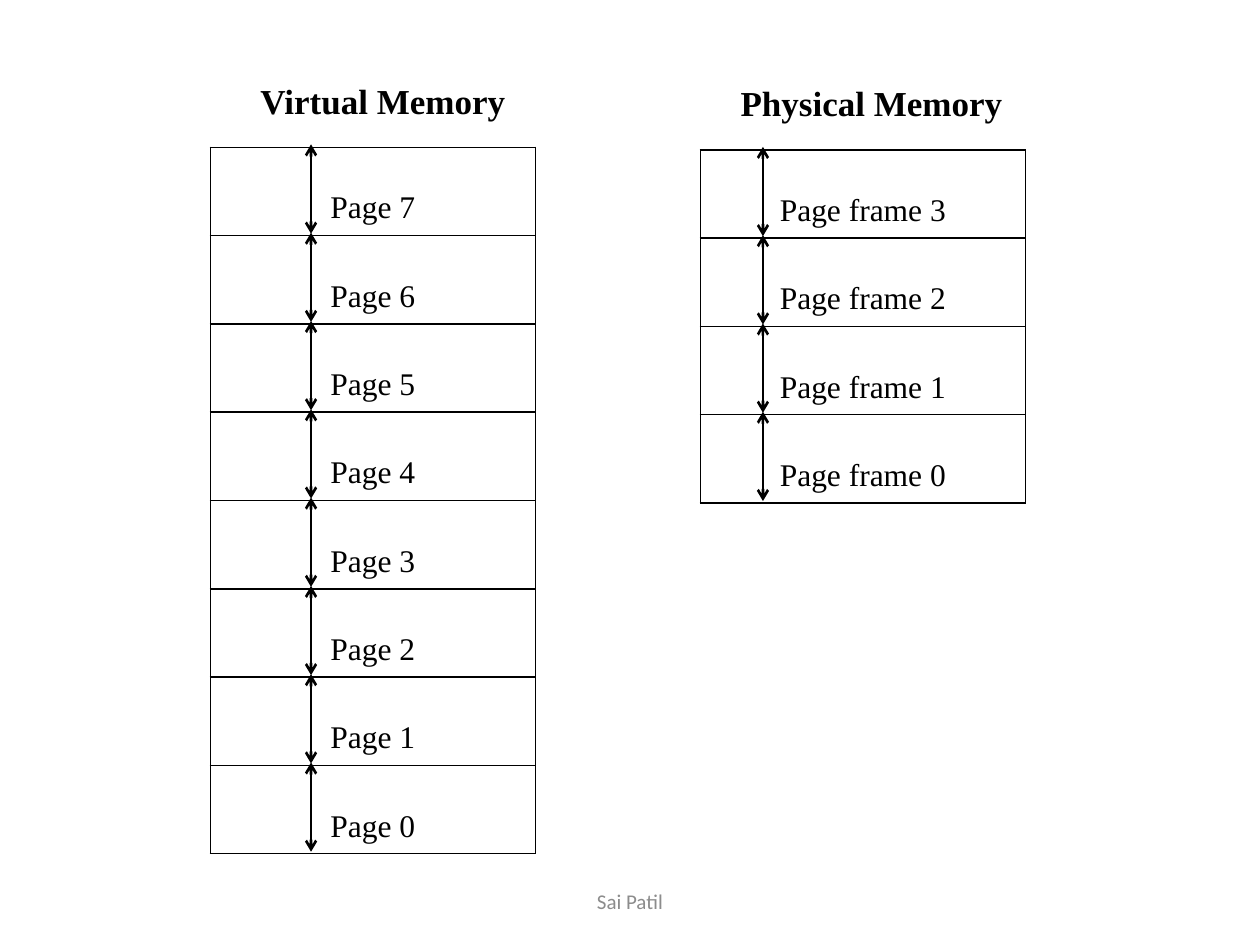
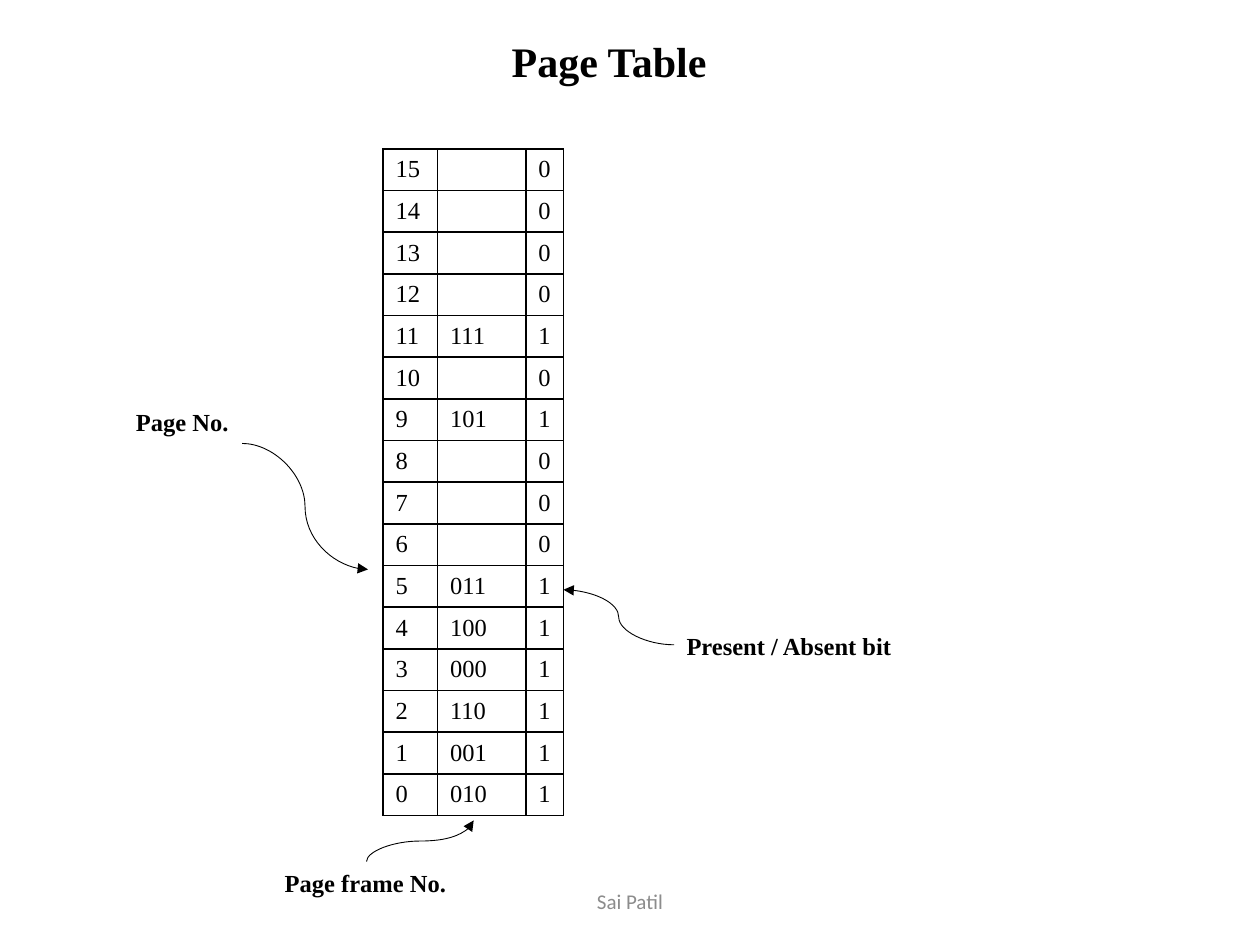
import pptx
import pptx.util
import pptx.dml.color
import pptx.enum.shapes
import pptx.enum.text
import pptx.oxml
import pptx.oxml.ns
import lxml.etree

Cm = pptx.util.Cm
Pt = pptx.util.Pt
qn = pptx.oxml.ns.qn
ALIGN = pptx.enum.text.PP_ALIGN
ANCHOR = pptx.enum.text.MSO_ANCHOR
CONNECTOR = pptx.enum.shapes.MSO_CONNECTOR

COLORS = {"ink": "000000", "footer": "8C8C8C"}
SERIF = "Times New Roman"
FRAMES = {11: "111", 9: "101", 5: "011", 4: "100", 3: "000", 2: "110", 1: "001", 0: "010"}


def rgb(name):
    return pptx.dml.color.RGBColor.from_string(COLORS[name])


def write(tf, text, size=14, bold=False, font=SERIF, color="ink",
          align=ALIGN.LEFT, anchor=ANCHOR.TOP, wrap=False):
    tf.word_wrap = wrap
    tf.vertical_anchor = anchor
    p = tf.paragraphs[0]
    p.alignment = align
    r = p.add_run()
    r.text = text
    r.font.size = Pt(size)
    r.font.bold = bold
    r.font.name = font
    r.font.color.rgb = rgb(color)


def add_label(s, text, x, y, w, h, **fmt):
    box = s.shapes.add_textbox(Cm(x), Cm(y), Cm(w), Cm(h))
    write(box.text_frame, text, **fmt)


def add_footer(s):
    add_label(s, "Sai Patil", 8.4, 17.65, 8.6, 1.02, size=12, font="Calibri",
              color="footer", align=ALIGN.CENTER, anchor=ANCHOR.MIDDLE, wrap=True)


def add_arrow(s, kind, start, end, width, head=None, tail="triangle"):
    line = s.shapes.add_connector(kind, *(Cm(v) for v in (*start, *end)))
    line.line.color.rgb = rgb("ink")
    line.line.width = Pt(width)
    ln = line.line._ln
    for tag, style in (("a:headEnd", head), ("a:tailEnd", tail)):
        if style:
            lxml.etree.SubElement(ln, qn(tag), type=style)
    lxml.etree.SubElement(line._element.spPr, qn("a:effectLst"))
    return line


def add_curve(s, start, end, upright=False):
    if upright:
        cx, cy = (start[0] + end[0]) / 2, (start[1] + end[1]) / 2
        dx, dy = start[0] - cx, start[1] - cy
        start, end = (cx + dy, cy - dx), (cx - dy, cy + dx)
    curve = add_arrow(s, CONNECTOR.CURVE, start, end, 0.5)
    if upright:
        curve._element.spPr.find(qn("a:xfrm")).set("rot", "5400000")


def add_border(cell):
    tcPr = cell._tc.get_or_add_tcPr()
    for side in ("L", "R", "T", "B"):
        ln = lxml.etree.SubElement(tcPr, qn(f"a:ln{side}"), w=str(Pt(1)))
        fill = lxml.etree.SubElement(ln, qn("a:solidFill"))
        lxml.etree.SubElement(fill, qn("a:srgbClr"), val=COLORS["ink"])


def add_grid(s, rows, x, y, widths, row_h, bottom=0, **fmt):
    table = s.shapes.add_table(len(rows), len(widths), Cm(x), Cm(y),
                               Cm(sum(widths)), Cm(row_h * len(rows))).table
    table.first_row = table.horz_banding = False
    for col, w in zip(table.columns, widths):
        col.width = Cm(w)
    for i, row in enumerate(rows):
        table.rows[i].height = Cm(row_h)
        for j, text in enumerate(row):
            cell = table.cell(i, j)
            add_border(cell)
            cell.fill.background()
            cell.margin_top = 0
            cell.margin_bottom = Cm(bottom)
            cell.vertical_anchor = ANCHOR.BOTTOM if bottom else ANCHOR.MIDDLE
            if text:
                p = cell.text_frame.paragraphs[0]
                p.alignment = fmt.get("align", ALIGN.LEFT)
                r = p.add_run()
                r.text = text
                r.font.size = Pt(fmt.get("size", 14))
                r.font.name = SERIF
                r.font.color.rgb = rgb("ink")


def add_memory(s, heading, unit, count, x, y, heading_dx, heading_w, arrow_dx):
    row_h = 1.78
    add_label(s, heading, x + heading_dx, y - 1.5, heading_w, 1.11, size=20, bold=True)
    rows = [[f"{unit} {n}"] for n in reversed(range(count))]
    add_grid(s, rows, x, y, [6.55], row_h, bottom=0.2, size=18, align=ALIGN.CENTER)
    for i in range(count):
        top = y + i * row_h - 0.06
        add_arrow(s, CONNECTOR.STRAIGHT, (x + arrow_dx, top), (x + arrow_dx, top + 1.8),
                  1.5, head="arrow", tail="arrow")


def build_memory_slide(prs):
    s = prs.slides.add_slide(prs.slide_layouts[6])
    add_footer(s)
    add_memory(s, "Virtual Memory", "Page", 8, 4.24, 2.97, 0.76, 5.49, 2.03)
    add_memory(s, "Physical Memory", "Page frame", 4, 14.12, 3.02, 0.56, 5.84, 1.26)


def build_page_table_slide(prs):
    s = prs.slides.add_slide(prs.slide_layouts[5])
    title = s.shapes.title
    title.left, title.top, title.width, title.height = Cm(10.06), Cm(0.58), Cm(4.47), Cm(1.27)
    write(title.text_frame, "Page Table", size=24, bold=True)
    add_footer(s)
    rows = [[str(n), FRAMES.get(n, ""), str(int(n in FRAMES))] for n in reversed(range(16))]
    add_grid(s, rows, 7.72, 3, [1.1, 1.78, 0.76], 0.84)
    for text, x, y, w in (("Page frame No.", 5.49, 17.37, 3.78),
                          ("Page No.", 2.49, 8.08, 2.39),
                          ("Present / Absent bit", 13.59, 12.6, 4.67)):
        add_label(s, text, x, y, w, 0.86, bold=True)
    add_curve(s, (4.88, 8.94), (7.42, 11.48))
    add_curve(s, (7.39, 17.37), (9.55, 16.54), upright=True)
    add_curve(s, (13.59, 13), (11.36, 11.89))


def main():
    prs = pptx.Presentation()
    prs.slide_width, prs.slide_height = Cm(25.4), Cm(19.05)
    build_memory_slide(prs)
    build_page_table_slide(prs)
    prs.save("out.pptx")


if __name__ == "__main__":
    main()
